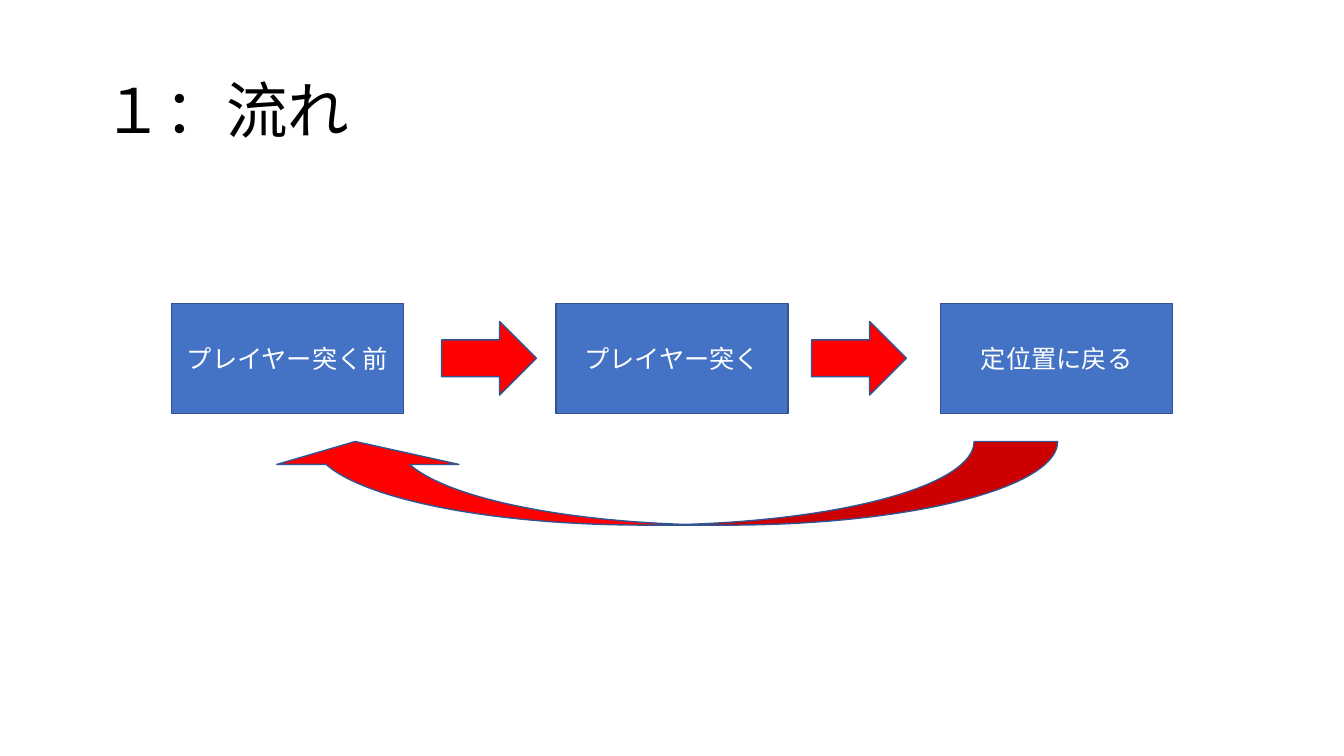
from lxml.etree import SubElement
from pptx import Presentation
from pptx.dml.color import RGBColor
from pptx.enum.shapes import MSO_SHAPE as Shape
from pptx.enum.text import MSO_ANCHOR as Anchor, MSO_AUTO_SIZE as AutoSize, PP_ALIGN as Align
from pptx.oxml.ns import qn
from pptx.util import Inches, Pt

BLACK = RGBColor(0x00, 0x00, 0x00)
WHITE = RGBColor(0xFF, 0xFF, 0xFF)
BLUE = RGBColor(0x44, 0x72, 0xC4)
OUTLINE = RGBColor(0x32, 0x54, 0x91)
RED = RGBColor(0xFF, 0x00, 0x00)

STEPS = ["プレイヤー突く前", "プレイヤー突く", "定位置に戻る"]
STEP_LEFT, STEP_PITCH = 1.7, 3.815
ARROW_LEFTS = [4.38, 8.05]


class FlowSlide:
    font_name = "Roboto"
    title_size = Pt(44)
    step_size = Pt(18)
    line_width = Pt(1)

    def __init__(self, presentation):
        self.slide = presentation.slides.add_slide(presentation.slide_layouts[5])

    def set_text(self, shape, text, size, color, alignment):
        frame = shape.text_frame
        frame.text = text
        frame.word_wrap = True
        frame.auto_size = AutoSize.NONE
        frame.vertical_anchor = Anchor.MIDDLE
        paragraph = frame.paragraphs[0]
        paragraph.alignment = alignment
        run = paragraph.runs[0]
        run.font.size = size
        run.font.color.rgb = color
        run.font.name = self.font_name
        # East Asian glyphs take their typeface from a separate element
        SubElement(run._r.get_or_add_rPr(), qn("a:ea"), typeface=self.font_name)
        return paragraph

    def title(self, text, left, top, width, height):
        title = self.slide.shapes.title
        title.left, title.top = Inches(left), Inches(top)
        title.width, title.height = Inches(width), Inches(height)
        paragraph = self.set_text(title, text, self.title_size, BLACK, Align.LEFT)
        paragraph.line_spacing = 0.9

    def block(self, kind, fill, left, top, width, height):
        shape = self.slide.shapes.add_shape(
            kind, Inches(left), Inches(top), Inches(width), Inches(height))
        shape.shadow.inherit = False
        shape.fill.solid()
        shape.fill.fore_color.rgb = fill
        shape.line.color.rgb = OUTLINE
        shape.line.width = self.line_width
        return shape

    def step(self, text, left):
        box = self.block(Shape.RECTANGLE, BLUE, left, 3.01, 2.3, 1.09)
        self.set_text(box, text, self.step_size, WHITE, Align.CENTER)

    def forward_arrow(self, left):
        self.block(Shape.RIGHT_ARROW, RED, left, 3.19, 0.94, 0.73)

    def return_arrow(self):
        """Draw the curved arrow leading from the last step to the first."""
        arrow = self.block(Shape.CURVED_UP_ARROW, RED, 2.62, 4.38, 7.87, 0.83)
        for index, value in enumerate([0.998, 2.177, 0.275]):
            arrow.adjustments[index] = value
        arrow._element.spPr.find(qn("a:xfrm")).set("flipH", "1")


def main():
    presentation = Presentation()
    presentation.slide_width = Inches(13.33)
    presentation.slide_height = Inches(7.5)

    flow = FlowSlide(presentation)
    flow.title("１：流れ", 0.92, 0.4, 11.5, 1.45)
    for index, text in enumerate(STEPS):
        flow.step(text, STEP_LEFT + index * STEP_PITCH)
    for left in ARROW_LEFTS:
        flow.forward_arrow(left)
    flow.return_arrow()

    presentation.save("out.pptx")


if __name__ == "__main__":
    main()
